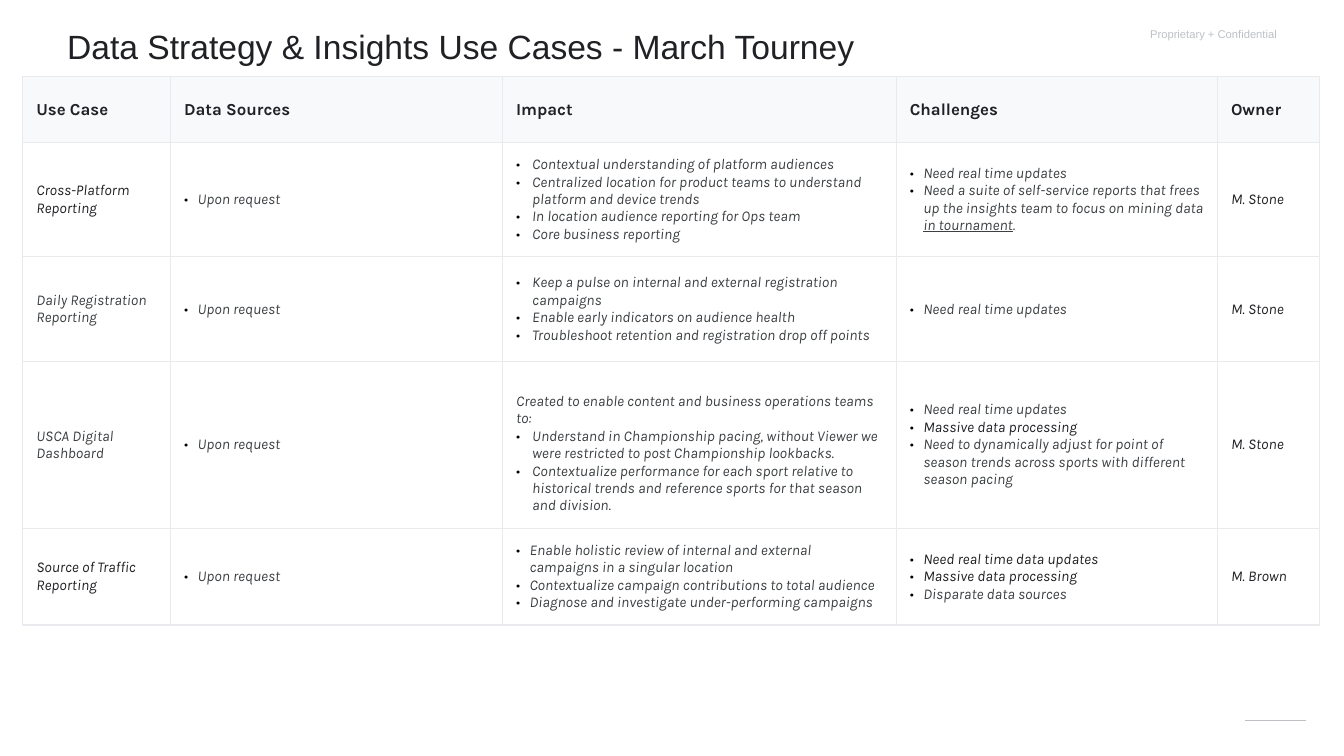
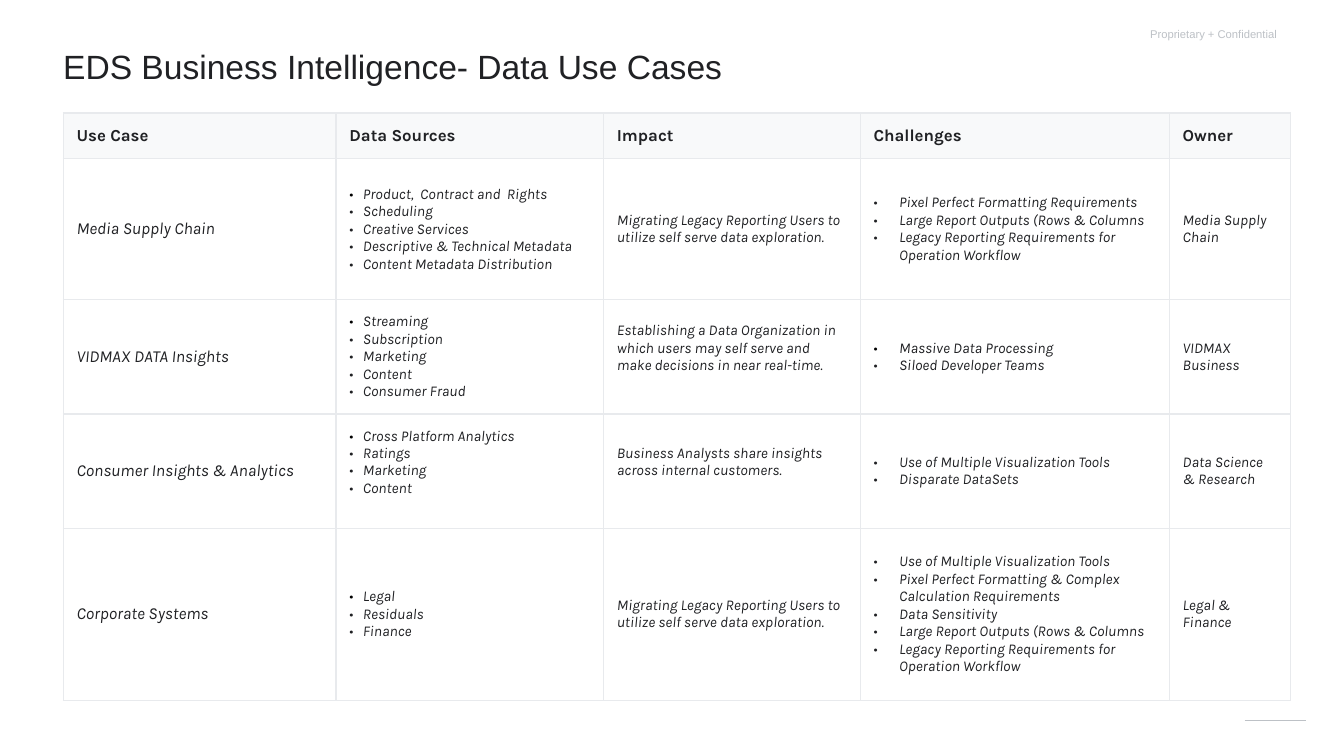
from dataclasses import dataclass

from lxml import etree
from pptx import Presentation
from pptx.dml.color import RGBColor
from pptx.enum.shapes import MSO_CONNECTOR as Connector
from pptx.enum.text import MSO_ANCHOR as Anchor, PP_ALIGN as Align
from pptx.oxml.ns import qn
from pptx.util import Inches, Pt

INK = RGBColor(0x20, 0x21, 0x24)
GREY = RGBColor(0x3C, 0x40, 0x43)
PALE = RGBColor(0xBD, 0xC1, 0xC6)
RULE = RGBColor(0xE8, 0xEA, 0xED)
BAND = RGBColor(0xF8, 0xF9, 0xFA)
BLACK = RGBColor(0, 0, 0)

HEADERS = ["Use Case", "Data Sources", "Impact", "Challenges", "Owner"]
SIDE_PADDING = 0.1
END_PADDING = 0.09
BLANK_LINE = 0.13


@dataclass
class Item:
    """One paragraph; text between bars is underlined."""
    text: str
    color: RGBColor = INK
    size: float = 8
    indent: float = 0
    dot: RGBColor = None
    bold: bool = False
    italic: bool = True


@dataclass
class Entry:
    """The items of one cell, with extra space above or below."""
    items: list
    above: float = 0
    below: float = 0


def plain(text, below=0, **formats):
    return Entry([Item(text, **formats)], below=below)


def bullets(*texts, color=INK, indent=0.1, dot=INK, first_dot=None, **space):
    """Bulleted items; a text may be a (text, color) pair."""
    items = []
    for text in texts:
        words, shade = text if isinstance(text, tuple) else (text, color)
        mark = dot if items or first_dot is None else first_dot
        items.append(Item(words, shade, indent=indent, dot=mark))
    return Entry(items, **space)


def grey_bullets(*texts, indent=0.1):
    return bullets(*texts, color=GREY, indent=indent, dot=BLACK)


def sources(*texts, **space):
    return bullets(*texts, first_dot=BLACK, **space)


def challenges(*texts, **formats):
    return bullets(*texts, indent=0.19, **formats)


class DeckBuilder:
    title_font = "Arial"
    table_font = "Karla"

    def __init__(self):
        self.deck = Presentation()
        self.deck.slide_width = Inches(10)
        self.deck.slide_height = Inches(10) * 9 // 16
        self.page = None

    def add_page(self, title, place):
        self.page = self.deck.slides.add_slide(self.deck.slide_layouts[6])
        self.add_text("Proprietary + Confidential", (7.4, 0, 2.1, 0.5), 6, PALE,
                      anchor=Anchor.MIDDLE, alignment=Align.RIGHT)
        self.add_line((9.26, 5.36), (9.72, 5.36))
        self.add_text(title, place, 18, INK, line_spacing=1.15)

    def add_text(self, text, place, size, color, anchor=Anchor.TOP, **formats):
        box = self.page.shapes.add_textbox(*map(Inches, place))
        frame = box.text_frame
        settings = {"word_wrap": True, "vertical_anchor": anchor, "margin_left": 0,
                    "margin_right": 0, "margin_top": 0, "margin_bottom": 0}
        for name, value in settings.items():
            setattr(frame, name, value)
        para = frame.paragraphs[0]
        for name, value in formats.items():
            setattr(para, name, value)
        self.add_span(para, text, color, name=self.title_font, size=Pt(size))

    def add_span(self, para, text, color, **formats):
        span = para.add_run()
        span.text = text
        for name, value in formats.items():
            setattr(span.font, name, value)
        span.font.color.rgb = color

    def add_line(self, start, end):
        line = self.page.shapes.add_connector(
            Connector.STRAIGHT, *map(Inches, start + end))
        line.line.color.rgb = PALE
        line.line.width = Pt(0.75)
        etree.SubElement(line._element.spPr, qn("a:effectLst"))

    def add_table(self, left, top, widths, heights, rows):
        place = map(Inches, (left, top, sum(widths), sum(heights)))
        table = self.page.shapes.add_table(len(heights), len(widths), *place).table
        table.horz_banding = False
        for column, width in zip(table.columns, widths):
            column.width = Inches(width)
        for row, height in zip(table.rows, heights):
            row.height = Inches(height)
        header = [plain(name, size=9, bold=True, italic=False) for name in HEADERS]
        for row, entries in zip(table.rows, [header] + rows):
            for cell, entry in zip(row.cells, entries):
                self.fill_cell(cell, entry, BAND if entries is header else None)

    def fill_cell(self, cell, entry, fill):
        settings = {"vertical_anchor": Anchor.MIDDLE,
                    "margin_left": Inches(SIDE_PADDING),
                    "margin_right": Inches(SIDE_PADDING),
                    "margin_top": Inches(END_PADDING + entry.above),
                    "margin_bottom": Inches(END_PADDING + entry.below)}
        for name, value in settings.items():
            setattr(cell, name, value)
        self.add_borders(cell)
        if fill is None:
            cell.fill.background()
        else:
            cell.fill.solid()
            cell.fill.fore_color.rgb = fill
        frame = cell.text_frame
        for number, item in enumerate(entry.items):
            para = frame.add_paragraph() if number else frame.paragraphs[0]
            if item.dot is not None:
                self.add_bullet(para, item)
            for part, text in enumerate(item.text.split("|")):
                self.add_span(para, text, item.color, name=self.table_font,
                              size=Pt(item.size), bold=item.bold,
                              italic=item.italic, underline=part % 2 == 1)

    def add_borders(self, cell):
        props = cell._tc.get_or_add_tcPr()
        for side in ("lnL", "lnR", "lnT", "lnB"):
            border = etree.SubElement(props, qn(f"a:{side}"), w=str(Pt(0.75)))
            solid = etree.SubElement(border, qn("a:solidFill"))
            etree.SubElement(solid, qn("a:srgbClr"), val=str(RULE))

    def add_bullet(self, para, item):
        props = para._p.get_or_add_pPr()
        props.set("marL", str(Inches(item.indent)))
        props.set("indent", str(-Inches(item.indent)))
        color = etree.SubElement(props, qn("a:buClr"))
        etree.SubElement(color, qn("a:srgbClr"), val=str(item.dot))
        etree.SubElement(props, qn("a:buFont"), typeface=self.table_font)
        etree.SubElement(props, qn("a:buChar"), char="•")


def add_tournament_page(builder):
    builder.add_page("Data Strategy & Insights Use Cases - March Tourney",
                     (0.5, 0.15, 6.69, 0.48))
    on_request = grey_bullets("Upon request")
    stone = plain("M. Stone")
    massive = ("Massive data processing", INK)

    # Introductory sentence followed by bullets
    dashboard_impact = grey_bullets(
        "Understand in Championship pacing, without Viewer we were restricted "
        "to post Championship lookbacks.",
        "Contextualize performance for each sport relative to historical trends "
        "and reference sports for that season and division.", indent=0.12)
    dashboard_impact.items.insert(0, Item(
        "Created to enable content and business operations teams to:", GREY))
    dashboard_impact.above = BLANK_LINE

    rows = [
        [plain("Cross-Platform Reporting"), on_request,
         grey_bullets("Contextual understanding of platform audiences",
                      "Centralized location for product teams to understand "
                      "platform and device trends",
                      "In location audience reporting for Ops team",
                      "Core business reporting", indent=0.12),
         grey_bullets("Need real time updates",
                      "Need a suite of self-service reports that frees up the "
                      "insights team to focus on mining data |in tournament|."),
         stone],
        [plain("Daily Registration Reporting", color=GREY), on_request,
         grey_bullets("Keep a pulse on internal and external registration campaigns",
                      "Enable early indicators on audience health",
                      "Troubleshoot retention and registration drop off points",
                      indent=0.12),
         grey_bullets("Need real time updates"), stone],
        [plain("USCA Digital Dashboard", color=GREY), on_request, dashboard_impact,
         grey_bullets("Need real time updates", massive,
                      "Need to dynamically adjust for point of season trends "
                      "across sports with different season pacing"),
         stone],
        [plain("Source of Traffic Reporting"), on_request,
         grey_bullets("Enable holistic review of internal and external campaigns "
                      "in a singular location",
                      "Contextualize campaign contributions to total audience",
                      "Diagnose and investigate under-performing campaigns"),
         grey_bullets(("Need real time data updates", INK), massive,
                      "Disparate data sources"),
         plain("M. Brown")],
    ]
    builder.add_table(0.17, 0.57, [1.1, 2.47, 2.93, 2.39, 0.76],
                      [0.49, 0.85, 0.78, 1.24, 0.72], rows)


def add_intelligence_page(builder):
    builder.add_page("EDS Business Intelligence- Data Use Cases",
                     (0.47, 0.3, 5.34, 0.53))
    migrating = plain("Migrating Legacy Reporting Users to utilize self serve "
                      "data exploration.")
    pixel = "Pixel Perfect Formatting"
    tools = "Use of Multiple Visualization Tools"
    shared = ["Large Report Outputs (Rows & Columns",
              "Legacy Reporting Requirements for Operation Workflow"]
    rows = [
        [plain("Media Supply Chain", size=9),
         sources("Product,  Contract and  Rights", "Scheduling", "Creative Services",
                 "Descriptive & Technical Metadata", "Content Metadata Distribution"),
         migrating, challenges(f"{pixel} Requirements", *shared),
         plain("Media Supply Chain")],
        [plain("VIDMAX DATA Insights", size=9),
         sources("Streaming", "Subscription", "Marketing", "Content",
                 "Consumer Fraud"),
         plain("Establishing a Data Organization in which users may self serve "
               "and make decisions in near real-time.", below=BLANK_LINE),
         challenges("Massive Data Processing", "Siloed Developer Teams",
                    first_dot=BLACK),
         plain("VIDMAX Business")],
        [plain("Consumer Insights & Analytics", size=9),
         sources("Cross Platform Analytics", "Ratings", "Marketing", "Content",
                 below=BLANK_LINE),
         plain("Business Analysts share insights across internal customers.",
               below=BLANK_LINE),
         challenges(tools, "Disparate DataSets"),
         plain("Data Science & Research")],
        [plain("Corporate Systems", size=9),
         sources("Legal", "Residuals", "Finance"), migrating,
         challenges(tools, f"{pixel} & Complex Calculation Requirements",
                    "Data Sensitivity", *shared),
         plain("Legal & Finance")],
    ]
    builder.add_table(0.47, 0.84, [2.03, 1.99, 1.91, 2.3, 0.9],
                      [0.34, 1.05, 0.85, 0.85, 1.28], rows)


def main():
    builder = DeckBuilder()
    add_tournament_page(builder)
    add_intelligence_page(builder)
    builder.deck.save("out.pptx")


if __name__ == "__main__":
    main()
